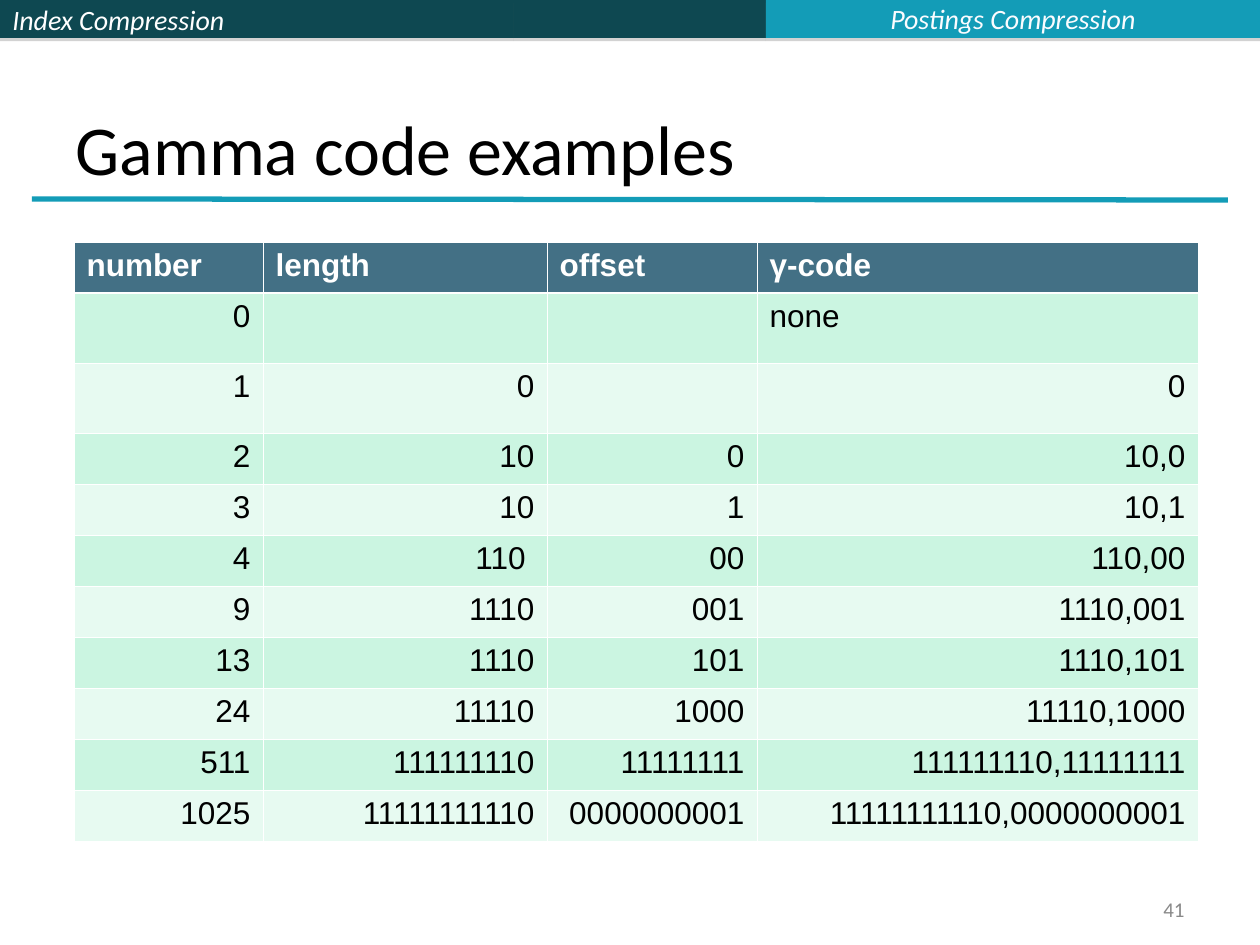
from dataclasses import dataclass, field
from typing import Any

from lxml import etree
from pptx import Presentation
from pptx import util as u
from pptx.dml.color import RGBColor
from pptx.enum import shapes, text
from pptx.oxml.ns import qn

EMU_PER_PX = u.Inches(1) / 126
COLORS = {
    "dark": "0E4851", "accent": "139CB7", "shadow": "808080",
    "header": "437085", "odd": "CBF5E1", "even": "E7FAF1",
    "white": "FFFFFF", "black": "000000", "page": "898989", "tab": "FBFCFF",
}
LEFT, CENTER, RIGHT = text.PP_ALIGN.LEFT, text.PP_ALIGN.CENTER, text.PP_ALIGN.RIGHT


@dataclass
class Box:
    left: int
    top: int
    width: int
    height: int

    def emu(self) -> list[u.Emu]:
        return [px(n) for n in (self.left, self.top, self.width, self.height)]


@dataclass
class Label:
    words: str
    color: str
    size: int
    align: Any = LEFT
    font: dict[str, Any] = field(default_factory=dict)


@dataclass
class Bar:
    box: Box
    color: str


BARS = [
    Bar(Box(0, 0, 514, 38), "dark"),
    Bar(Box(514, 0, 252, 38), "dark"),
    Bar(Box(766, 0, 494, 38), "accent"),
]
COLUMN_WIDTHS = [189, 284, 210, 441]
ROW_HEIGHT, TALL_ROW_HEIGHT = 51, 70
TALL_ROWS = (1, 2)
CODES = [
    ("number", "length", "offset", "γ-code"),
    ("0", "", "", "none"),
    ("1", "0", "", "0"),
    ("2", "10", "0", "10,0"),
    ("3", "10", "1", "10,1"),
    ("4", "110 ", "00", "110,00"),
    ("9", "1110", "001", "1110,001"),
    ("13", "1110", "101", "1110,101"),
    ("24", "11110", "1000", "11110,1000"),
    ("511", "111111110", "11111111", "111111110,11111111"),
    ("1025", "11111111110", "0000000001", "11111111110,0000000001"),
]


def px(length: int) -> u.Emu:
    return u.Emu(round(length * EMU_PER_PX))


def rgb(name: str) -> RGBColor:
    return RGBColor.from_string(COLORS[name])


def add_color(parent: Any, name: str) -> Any:
    color = etree.SubElement(parent, qn("a:srgbClr"))
    color.set("val", COLORS[name])
    return color


def write(frame: Any, label: Label) -> None:
    paragraph = frame.paragraphs[0]
    paragraph.alignment = label.align
    run = paragraph.add_run()
    run.text = label.words
    run.font.color.rgb = rgb(label.color)
    formats = {"name": "Calibri", "size": u.Pt(label.size)} | label.font
    for name, value in formats.items():
        setattr(run.font, name, value)


def add_bar(slide: Any, bar: Bar) -> Any:
    shape = slide.shapes.add_shape(shapes.MSO_SHAPE.RECTANGLE, *bar.box.emu())
    shape.fill.solid()
    shape.fill.fore_color.rgb = rgb(bar.color)
    shape.line.fill.background()
    shape.shadow.inherit = False
    effects = shape._element.spPr.find(qn("a:effectLst"))
    shadow = etree.SubElement(effects, qn("a:outerShdw"))
    for name, value in {"dist": u.Pt(1.8), "dir": 90 * 60000}.items():
        shadow.set(name, str(int(value)))
    alpha = etree.SubElement(add_color(shadow, "shadow"), qn("a:alpha"))
    alpha.set("val", "35000")
    return shape


def add_label(slide: Any, box: Box, label: Label) -> None:
    frame = slide.shapes.add_textbox(*box.emu()).text_frame
    frame.word_wrap = True
    frame.vertical_anchor = text.MSO_ANCHOR.MIDDLE
    write(frame, label)


def add_rule(slide: Any) -> None:
    rule = slide.shapes.add_connector(
        shapes.MSO_CONNECTOR.STRAIGHT, px(32), px(199), px(1228), px(200))
    rule.line.color.rgb = rgb("accent")
    rule.line.width = u.Pt(3)
    etree.SubElement(rule._element.spPr, qn("a:effectLst"))


def set_borders(cell: Any, row: int) -> None:
    properties = cell._tc.get_or_add_tcPr()
    thin, thick = 0.45, 1.47
    widths = {
        "a:lnL": thin, "a:lnR": thin,
        "a:lnT": thick if row == 1 else thin,
        "a:lnB": thick if row == 0 else thin,
    }
    for tag, width in widths.items():
        line = etree.SubElement(properties, qn(tag))
        line.set("w", str(int(u.Pt(width))))
        add_color(etree.SubElement(line, qn("a:solidFill")), "white")


def fill_cell(cell: Any, row: int, words: str) -> None:
    set_borders(cell, row)
    band = "odd" if row % 2 else "even"
    cell.fill.solid()
    cell.fill.fore_color.rgb = rgb("header" if row == 0 else band)
    if words:
        is_header = row == 0
        align = LEFT if is_header or words == "none" else RIGHT
        color = "white" if is_header else "black"
        font = {"name": "Arial", "bold": is_header}
        write(cell.text_frame, Label(words, color, 18, align, font))


def add_code_table(slide: Any) -> None:
    heights = [TALL_ROW_HEIGHT if row in TALL_ROWS else ROW_HEIGHT
               for row in range(len(CODES))]
    box = Box(74, 242, sum(COLUMN_WIDTHS), sum(heights))
    table = slide.shapes.add_table(len(CODES), len(COLUMN_WIDTHS), *box.emu()).table
    for column, width in zip(table.columns, COLUMN_WIDTHS):
        column.width = px(width)
    for row, (values, height) in enumerate(zip(CODES, heights)):
        table.rows[row].height = px(height)
        for column, words in enumerate(values):
            fill_cell(table.cell(row, column), row, words)


def main() -> None:
    presentation = Presentation()
    presentation.slide_width, presentation.slide_height = px(1260), px(945)
    slide = presentation.slides.add_slide(presentation.slide_layouts[5])

    # Navigation bars and rule
    bars = [add_bar(slide, bar) for bar in BARS]
    write(bars[0].text_frame,
          Label("Index Compression", "white", 16, font={"italic": True}))
    add_label(slide, Box(766, -5, 494, 47),
              Label("Postings Compression", "tab", 16, CENTER, {"italic": True}))
    add_rule(slide)

    # Title
    title = slide.shapes.title
    title.left, title.top, title.width, title.height = Box(63, 38, 1134, 158).emu()
    title.text_frame.vertical_anchor = text.MSO_ANCHOR.BOTTOM
    write(title.text_frame, Label("Gamma code examples", "black", 40))

    # Table and page number
    add_code_table(slide)
    add_label(slide, Box(903, 892, 294, 34), Label("41", "page", 12, RIGHT))
    presentation.save("out.pptx")


if __name__ == "__main__":
    main()
